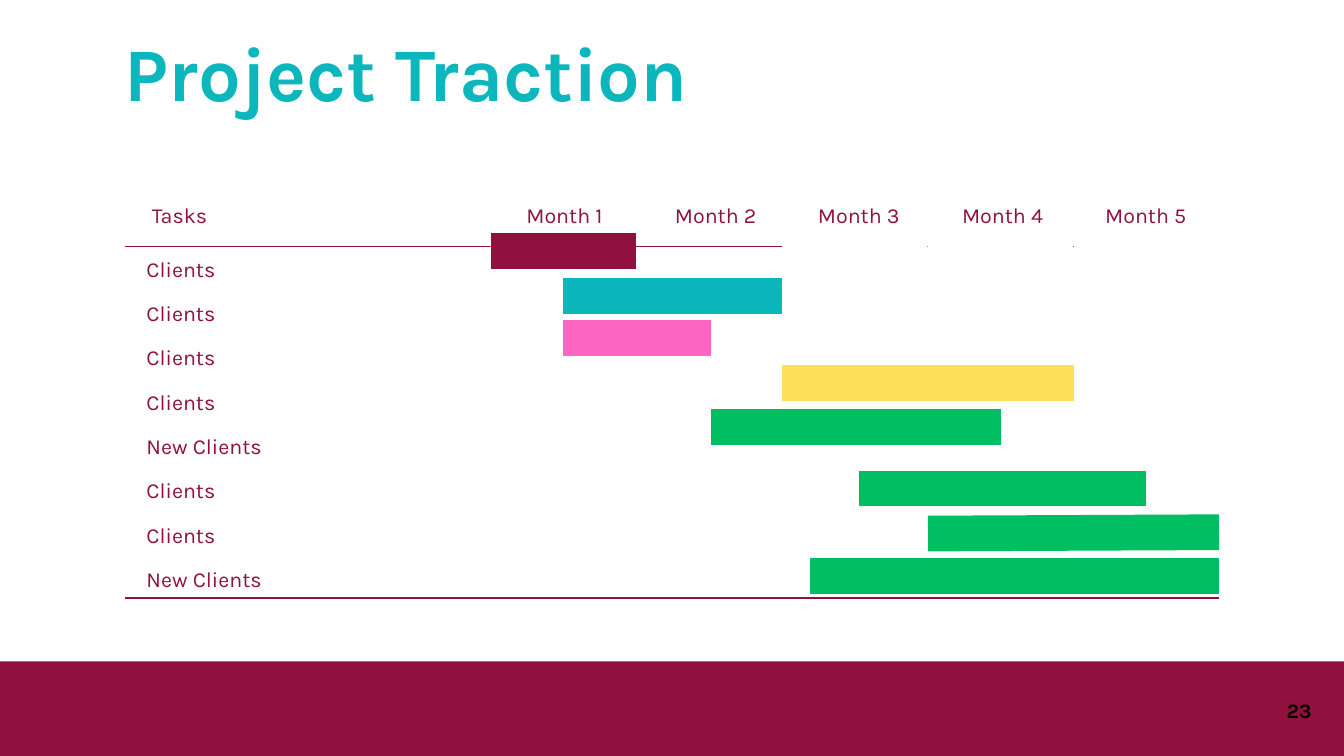
"""Build the Project Traction slide: a five-month Gantt chart of client tasks."""
import pptx
import pptx.dml.color
import pptx.enum.shapes
import pptx.enum.text
import pptx.oxml.ns
import pptx.util
from lxml import etree

EMU_PER_PX = 9144
SLIDE_WIDTH, SLIDE_HEIGHT = 2000, 1125
FONT = "Karla"
COLORS = {
    "wine": "90113E",
    "teal": "0BB6BC",
    "pink": "FF66C4",
    "yellow": "FFDE59",
    "green": "00BF63",
    "white": "FFFFFF",
    "black": "000000",
}
ALIGN = pptx.enum.text.PP_ALIGN
TITLE = "Project Traction"
TITLE_BOX = (186, 38, 1611, 135)
PAGE_NUMBER = "23"
PAGE_NUMBER_BOX = (1865, 1037, 87, 38)
FOOTER_BOX = (0, 984, 2000, 141)
TASK_HEADING = "Tasks"
MONTHS = [
    ("Month 1", 840),
    ("Month 2", 1065),
    ("Month 3", 1278),
    ("Month 4", 1492),
    ("Month 5", 1705),
]
MONTHS_WITH_PANEL = {"Month 1", "Month 3", "Month 4", "Month 5"}
TASKS = ["Clients", "Clients", "Clients", "Clients",
         "New Clients", "Clients", "Clients", "New Clients"]
RULES = [367, 890]
BARS = [
    (730, 374, 946, 374, "wine"),
    (838, 440, 1163, 440, "teal"),
    (838, 503, 1058, 503, "pink"),
    (1164, 570, 1598, 570, "yellow"),
    (1058, 635, 1489, 635, "green"),
    (1278, 727, 1705, 727, "green"),
    (1381, 794, 1814, 792, "green"),
    (1206, 857, 1814, 857, "green"),
]
CHART_LEFT, CHART_RIGHT = 186, 1814
MONTHS_LEFT, MONTH_STEP = 730, 217
HEADING_TOP, TASK_TOP, TASK_STEP = 295, 374, 66
RULE_WIDTH, BAR_WIDTH = 1.5, 38.25
LABEL = {"size": 23, "bold": False, "color": "wine", "spacing": 32.2, "align": ALIGN.LEFT}
MONTH_LABEL = {**LABEL, "align": ALIGN.CENTER}
TITLE_STYLE = {"size": 81, "bold": True, "color": "teal", "spacing": 97.2, "align": ALIGN.LEFT}
NUMBER_STYLE = {"size": 22, "bold": True, "color": "black", "spacing": 27.5, "align": ALIGN.RIGHT}
FRAME_FORMAT = {
    "margin_left": 0,
    "margin_top": 0,
    "margin_right": 0,
    "margin_bottom": 0,
    "word_wrap": True,
    "auto_size": pptx.enum.text.MSO_AUTO_SIZE.NONE,
    "vertical_anchor": pptx.enum.text.MSO_ANCHOR.TOP,
}


def px(value):
    return pptx.util.Emu(value * EMU_PER_PX)


def rgb(name):
    return pptx.dml.color.RGBColor.from_string(COLORS[name])


def set_all(target, values):
    for name, value in values.items():
        setattr(target, name, value)


def write_text(shape, text, style):
    frame = shape.text_frame
    set_all(frame, FRAME_FORMAT)
    paragraph = frame.paragraphs[0]
    set_all(paragraph, {
        "alignment": style["align"],
        "line_spacing": pptx.util.Pt(style["spacing"]),
        "space_before": pptx.util.Pt(0),
    })
    run = paragraph.add_run()
    run.text = text
    set_all(run.font, {
        "name": FONT,
        "size": pptx.util.Pt(style["size"]),
        "bold": style["bold"],
    })
    run.font.color.rgb = rgb(style["color"])


def add_text(slide, box, text, style):
    write_text(slide.shapes.add_textbox(*map(px, box)), text, style)


def add_rectangle(slide, box, color):
    shape = slide.shapes.add_shape(
        pptx.enum.shapes.MSO_SHAPE.RECTANGLE, *map(px, box))
    shape.shadow.inherit = False
    shape.fill.solid()
    shape.fill.fore_color.rgb = rgb(color)
    shape.line.fill.background()


def add_line(slide, ends, color, width):
    connector = slide.shapes.add_connector(
        pptx.enum.shapes.MSO_CONNECTOR.STRAIGHT, *map(px, ends))
    connector.line.color.rgb = rgb(color)
    connector.line.width = pptx.util.Pt(width)
    properties = connector.element.find(pptx.oxml.ns.qn("p:spPr"))
    etree.SubElement(properties, pptx.oxml.ns.qn("a:effectLst"))


def add_title(slide):
    title = slide.shapes.title
    set_all(title, dict(zip(("left", "top", "width", "height"), map(px, TITLE_BOX))))
    write_text(title, TITLE, TITLE_STYLE)


def add_gantt(slide):
    for y in RULES:
        add_line(slide, (CHART_LEFT, y, CHART_RIGHT, y), "wine", RULE_WIDTH)
    for index, (month, center) in enumerate(MONTHS):
        if month in MONTHS_WITH_PANEL:
            left = MONTHS_LEFT + index * MONTH_STEP
            add_rectangle(slide, (left, 270, 216, 98), "white")
    for month, center in MONTHS:
        add_text(slide, (center - 72, HEADING_TOP, 144, 43), month, MONTH_LABEL)
    add_text(slide, (226, HEADING_TOP, 478, 43), TASK_HEADING, LABEL)
    for index, task in enumerate(TASKS):
        add_text(slide, (218, TASK_TOP + index * TASK_STEP, 486, 43), task, LABEL)
    for *ends, color in BARS:
        add_line(slide, ends, color, BAR_WIDTH)


def main():
    presentation = pptx.Presentation()
    set_all(presentation, {
        "slide_width": px(SLIDE_WIDTH),
        "slide_height": px(SLIDE_HEIGHT),
    })
    slide = presentation.slides.add_slide(
        presentation.slide_layouts.get_by_name("Title Only"))
    add_gantt(slide)
    add_title(slide)
    add_rectangle(slide, FOOTER_BOX, "wine")
    add_text(slide, PAGE_NUMBER_BOX, PAGE_NUMBER, NUMBER_STYLE)
    presentation.save("out.pptx")


if __name__ == "__main__":
    main()
